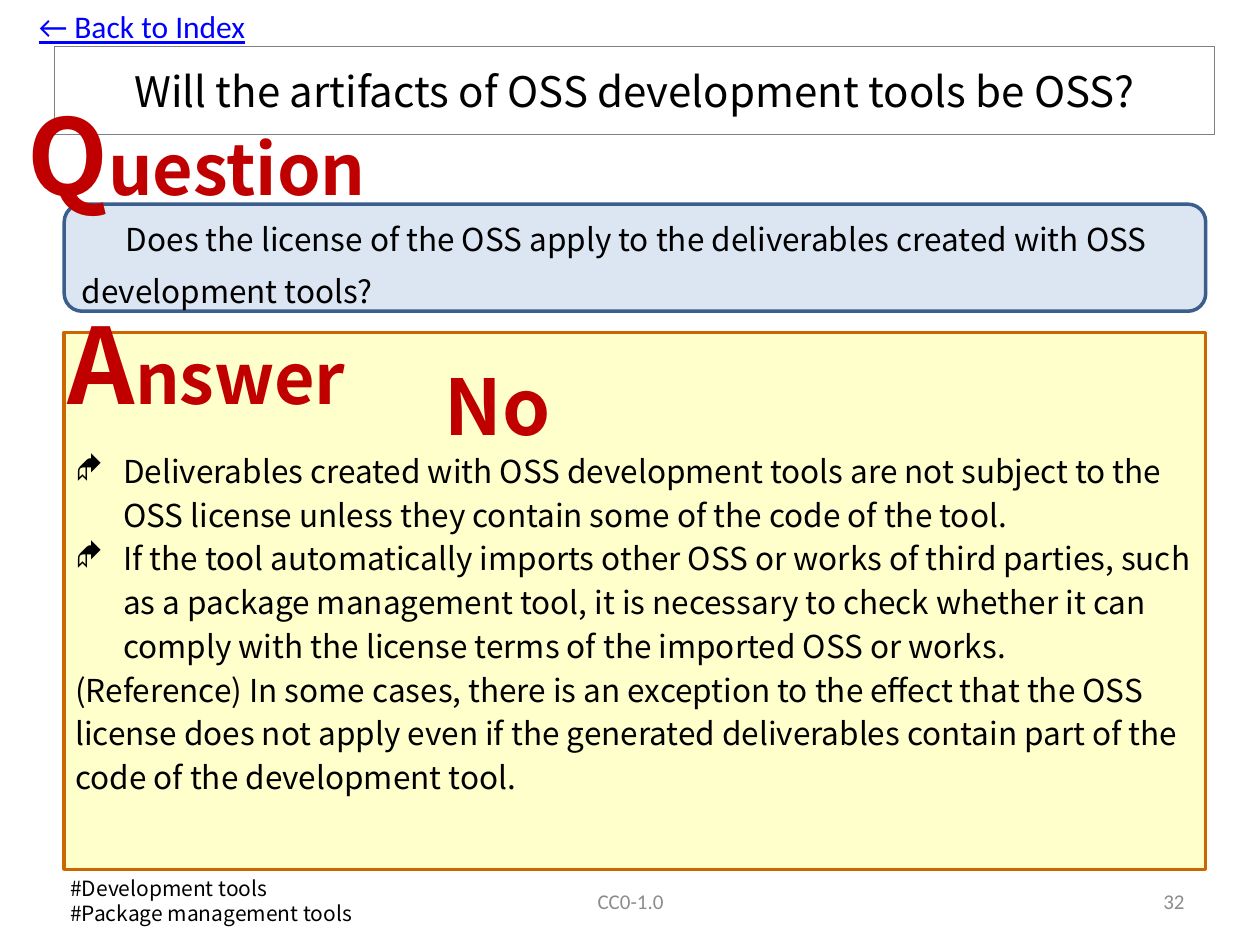
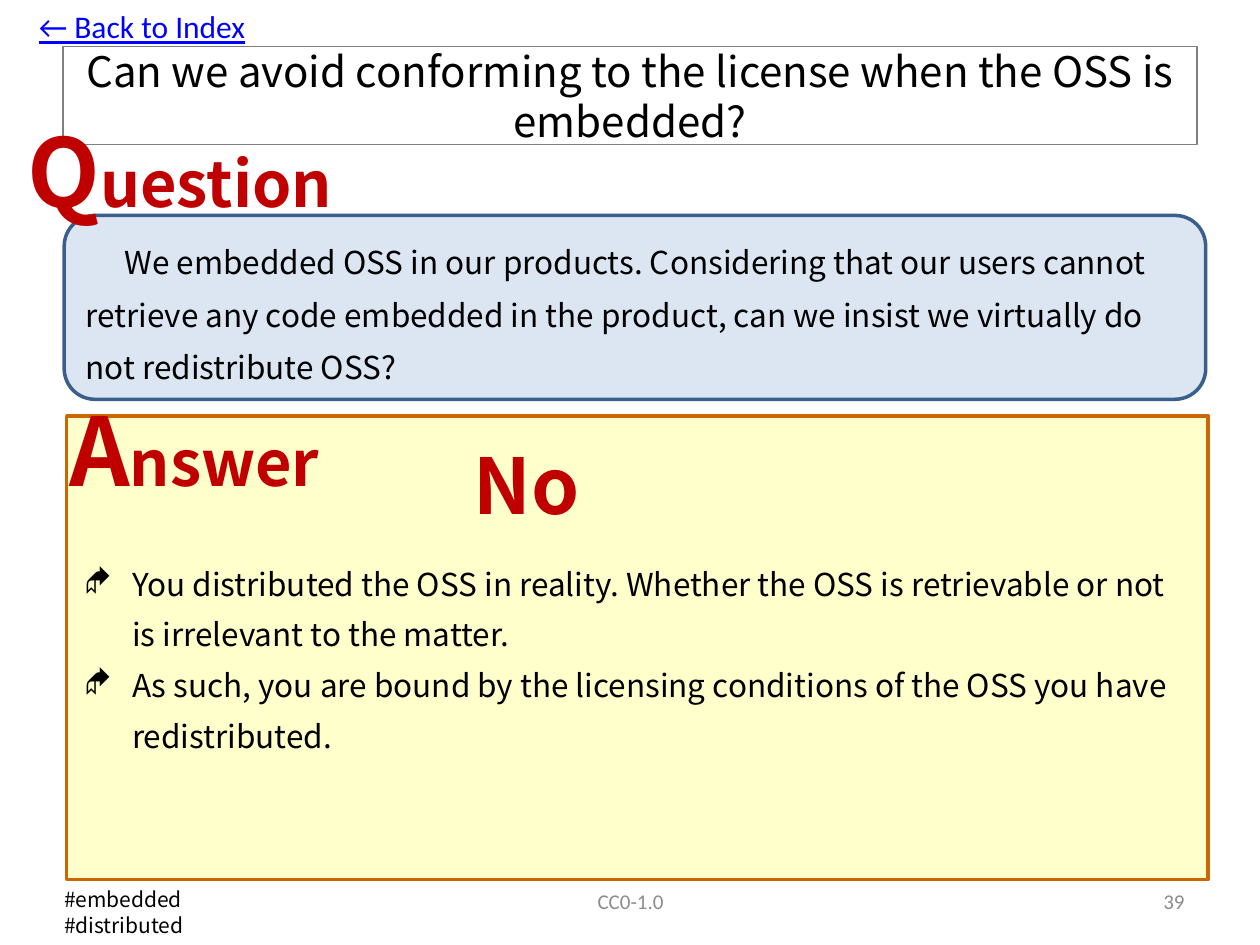
from lxml.etree import SubElement
from pptx import Presentation
from pptx.dml.color import RGBColor
from pptx.enum.shapes import MSO_SHAPE as SHAPE
from pptx.enum.text import MSO_ANCHOR as ANCHOR, MSO_AUTO_SIZE as AUTO, PP_ALIGN as ALIGN
from pptx.oxml.ns import qn
from pptx.util import Emu, Pt

# Shared look: 100 px to the inch
SCALE = 9144
COLOURS = {
    "black": "000000", "red": "C00000", "link": "0000FF", "muted": "8C8C8C",
    "title_line": "808080", "question_fill": "DCE6F2", "question_line": "3A5F8C",
    "answer_fill": "FFFFCC", "answer_line": "CC6600",
}
SANS, LATIN = "Noto Sans CJK JP", "Calibri"
HANGING = 38

TITLE = {"name": SANS, "size": Pt(24), "color": "black"}
BODY = {"name": SANS, "size": Pt(18), "color": "black"}
TAG = {"name": SANS, "size": Pt(12), "color": "black"}
VERDICT = {"name": SANS, "size": Pt(44), "color": "red", "bold": True}
LINK = {"name": LATIN, "size": Pt(18), "color": "link", "underline": True}
FOOTER = {"name": LATIN, "size": Pt(12), "color": "muted"}

# Content of each page; boxes are left, top, width, height
PAGES = [
    {
        "title": "Will the artifacts of OSS development tools be OSS?",
        "title_box": (43, 37, 921, 70),
        "question": "Does the license of the OSS apply to the deliverables "
                    "created with OSS development tools?",
        "question_box": (51, 162, 906, 85),
        "question_indent": 35,
        "answer_box": (51, 264, 906, 426),
        "verdict_box": (343, 280, 409, 84),
        "bullets": [
            "Deliverables created with OSS development tools are not subject to "
            "the OSS license unless they contain some of the code of the tool.",
            "If the tool automatically imports other OSS or works of third parties, "
            "such as a package management tool, it is necessary to check whether it "
            "can comply with the license terms of the imported OSS or works.",
        ],
        "reference": [
            "(Reference) In some cases, there is an exception to the effect that the "
            "OSS license does not apply even if the generated deliverables contain "
            "part of the code of the development tool.",
        ],
        "body_box": (50, 349, 907, 341),
        "leading": 25,
        "headings": [("Question", (12, 67, 307, 111)), ("Answer", (44, 233, 263, 111))],
        "heading_sizes": (60, 40),
        "tags": ["#Development tools", "#Package management tools"],
        "tags_box": (46, 690, 263, 50),
        "number": "32",
    },
    {
        "title": "Can we avoid conforming to the license when the OSS is embedded?",
        "title_box": (50, 37, 900, 78),
        "question": "We embedded OSS in our products. Considering that our users "
                    "cannot retrieve any code embedded in the product, can we "
                    "insist we virtually do not redistribute OSS?",
        "question_box": (51, 171, 906, 146),
        "question_indent": 31,
        "answer_box": (53, 330, 906, 368),
        "verdict_box": (366, 342, 165, 84),
        "bullets": [
            "You distributed the OSS in reality. Whether the OSS is retrievable "
            "or not is irrelevant to the matter.",
            "As such, you are bound by the licensing conditions of the OSS you "
            "have redistributed.",
        ],
        "reference": [],
        "body_box": (57, 433, 900, 266),
        "leading": 29,
        "headings": [("Question", (12, 85, 278, 101)), ("Answer", (45, 306, 239, 101))],
        "heading_sizes": (54, 36),
        "tags": ["#embedded", "#distributed"],
        "tags_box": (41, 699, 231, 50),
        "number": "39",
    },
]


def px(length):
    return Emu(length * SCALE)


def rgb(name):
    return RGBColor.from_string(COLOURS[name])


def add_span(para, text, style):
    span = para.add_run()
    span.text = text
    for key, value in style.items():
        if key == "color":
            span.font.color.rgb = rgb(value)
        else:
            setattr(span.font, key, value)
    SubElement(span.font._element, qn("a:ea"), typeface=style["name"])


def add_para(frame, spans, **formats):
    """Fill the empty first paragraph, or append one."""
    first = frame.paragraphs[0]
    para = frame.add_paragraph() if first.runs else first
    for key, value in {"alignment": ALIGN.LEFT, **formats}.items():
        setattr(para, key, value)
    for text, style in spans:
        add_span(para, text, style)
    return para


def set_indent(para, left, first):
    properties = para._p.get_or_add_pPr()
    properties.set("marL", str(px(left)))
    properties.set("indent", str(px(first)))
    return properties


def add_bullet(para):
    properties = set_indent(para, HANGING, -HANGING)
    SubElement(properties, qn("a:buFont"), typeface="Wingdings")
    SubElement(properties, qn("a:buChar"), char="◆")


def add_panel(page, kind, place, line, weight, fill=None):
    panel = page.shapes.add_shape(kind, *map(px, place))
    panel.shadow.inherit = False
    if fill:
        panel.fill.solid()
        panel.fill.fore_color.rgb = rgb(fill)
    else:
        panel.fill.background()
    panel.line.color.rgb = rgb(line)
    panel.line.width = Pt(weight)
    frame = panel.text_frame
    frame.word_wrap = True
    frame.vertical_anchor = ANCHOR.MIDDLE
    return frame


def add_text(page, place, wrap=True, grow=True, anchor=ANCHOR.TOP):
    frame = page.shapes.add_textbox(*map(px, place)).text_frame
    formats = {"word_wrap": wrap, "vertical_anchor": anchor,
               "auto_size": AUTO.SHAPE_TO_FIT_TEXT if grow else AUTO.NONE}
    for key, value in formats.items():
        setattr(frame, key, value)
    return frame


def add_title(page, content):
    frame = add_panel(page, SHAPE.RECTANGLE, content["title_box"], "title_line", 0.75)
    add_para(frame, [(content["title"], TITLE)], alignment=ALIGN.CENTER)


def add_question(page, content):
    frame = add_panel(page, SHAPE.ROUNDED_RECTANGLE, content["question_box"],
                      "question_line", 2, "question_fill")
    para = add_para(frame, [(content["question"], BODY)], line_spacing=Pt(30))
    set_indent(para, 0, content["question_indent"])


def add_answer(page, content):
    frame = add_text(page, content["body_box"], grow=False)
    leading = Pt(content["leading"])
    for text in content["bullets"]:
        add_bullet(add_para(frame, [(text, BODY)], line_spacing=leading))
    for text in content["reference"]:
        add_para(frame, [(text, BODY)], line_spacing=leading)
    add_para(add_text(page, content["verdict_box"]), [("No", VERDICT)])


def add_heading(page, word, place, sizes):
    """A red word with a large initial."""
    spans = [(text, {**VERDICT, "size": Pt(size)})
             for text, size in zip((word[0], word[1:]), sizes)]
    add_para(add_text(page, place, wrap=False), spans)


def add_footer(page, text, place, alignment):
    frame = add_text(page, place, grow=False, anchor=ANCHOR.MIDDLE)
    add_para(frame, [(text, FOOTER)], alignment=alignment)


def build_page(deck, content):
    page = deck.slides.add_slide(deck.slide_layouts[6])
    # Panels and their text
    add_panel(page, SHAPE.RECTANGLE, content["answer_box"], "answer_line", 2, "answer_fill")
    add_title(page, content)
    add_question(page, content)
    add_answer(page, content)
    for word, place in content["headings"]:
        add_heading(page, word, place, content["heading_sizes"])
    # Index label, tags and footers
    add_para(add_text(page, (21, 1, 186, 40), wrap=False), [("← Back to Index", LINK)])
    tags = add_text(page, content["tags_box"], wrap=False)
    for tag in content["tags"]:
        add_para(tags, [(tag, TAG)])
    add_footer(page, "CC0-1.0", (342, 695, 317, 40), ALIGN.CENTER)
    add_footer(page, content["number"], (717, 695, 233, 40), ALIGN.RIGHT)


def main():
    deck = Presentation()
    deck.slide_width, deck.slide_height = px(1000), px(750)
    for content in PAGES:
        build_page(deck, content)
    deck.save("out.pptx")


if __name__ == "__main__":
    main()
